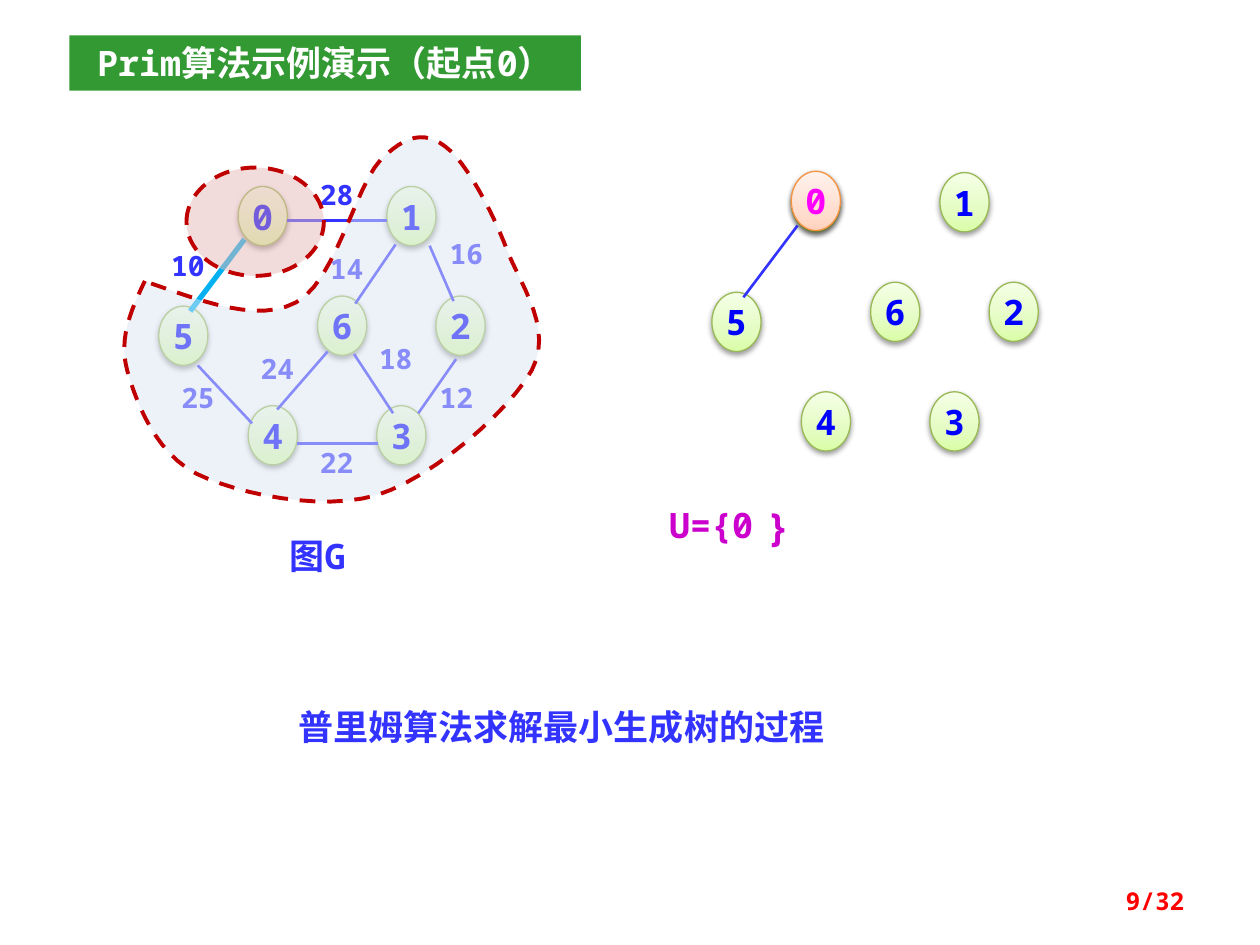
from copy import deepcopy

from lxml.etree import SubElement
from pptx import Presentation
from pptx.dml.color import RGBColor
from pptx.enum.dml import MSO_LINE
from pptx.enum.shapes import MSO_CONNECTOR, MSO_SHAPE
from pptx.enum.text import MSO_ANCHOR, PP_ALIGN
from pptx.oxml.ns import qn
from pptx.util import Inches, Pt

MONO = "Noto Sans Mono"
COLORS = {
    "title_bar": "339933", "white": "FFFFFF", "edge": "3333FF", "chosen": "00B0F0",
    "node_text": "0000FF", "node_line": "98B955", "start_text": "FF00FF",
    "start_line": "F69240", "cut": "C00000", "visited": "E6B9B8",
    "unvisited": "DCE6F2", "set": "CC00CC", "page": "FF0000", "shadow": "000000",
}
NODE_FILL = ("DAFDA7", "E4FCC2", "F5FFE7")
START_FILL = ("FFD2BD", "FFDED0", "FFF2ED")
NODE_SIZE = (0.39, 0.47)
NODES = {
    "0": (0.63, 0), "1": (1.81, 0), "5": (0, 0.95), "4": (0.71, 1.74),
    "3": (1.73, 1.74), "6": (1.26, 0.87), "2": (2.2, 0.87),
}
CHOSEN_EDGE = (0.68, 0.42, 0.25, 0.99)
EDGES = [
    (1.02, 0.27, 1.81, 0.27), (0.31, 1.42, 0.74, 1.88), (1.1, 2.04, 1.74, 2.04),
    (0.94, 1.77, 1.34, 1.31), (1.55, 1.33, 1.86, 1.8), (1.88, 0.46, 1.56, 0.93),
    (2.15, 0.47, 2.34, 0.91), (2.36, 1.37, 2.06, 1.8),
]
WEIGHTS = {
    "28": (1.18, -0.12), "10": (0, 0.44), "16": (2.21, 0.35), "14": (1.26, 0.47),
    "25": (0.08, 1.49), "24": (0.71, 1.26), "18": (1.65, 1.18), "22": (1.18, 2.01),
    "12": (2.13, 1.49),
}
CUT_START = (-0.06, 0.77)
CUT_CURVES = [
    ((0.37, 0.92), (0.79, 1.08), (1.09, 0.92)), ((1.4, 0.76), (1.56, 0), (1.76, -0.21)),
    ((1.96, -0.41), (2.11, -0.44), (2.27, -0.32)), ((2.44, -0.2), (2.66, 0.22), (2.77, 0.52)),
    ((2.89, 0.81), (3.13, 1.14), (2.96, 1.46)), ((2.78, 1.78), (2.18, 2.31), (1.73, 2.45)),
    ((1.29, 2.58), (0.63, 2.44), (0.3, 2.28)), ((-0.03, 2.11), (-0.18, 1.71), (-0.25, 1.46)),
    ((-0.32, 1.21), (-0.22, 0.98), (-0.11, 0.75)),
]


def rgb(name):
    """Return the named colour."""
    return RGBColor.from_string(COLORS[name])


def write(shape, text, color, size=20, font=MONO, align=PP_ALIGN.LEFT, bold=True):
    """Put one formatted line of text into a shape."""
    shape.text_frame.text = text
    paragraph = shape.text_frame.paragraphs[0]
    paragraph.alignment = align
    paragraph.space_before = Pt(0)
    run_font = paragraph.runs[0].font
    run_font.name, run_font.size, run_font.bold = font, Pt(size), bold
    run_font.color.rgb = rgb(color)


def add_label(shapes, box, text, color, inset=0.1, anchor=MSO_ANCHOR.TOP, **style):
    """Add a wrapped text box at the given box."""
    label = shapes.add_textbox(*map(Inches, box))
    frame = label.text_frame
    frame.word_wrap, frame.vertical_anchor = True, anchor
    frame.margin_left = frame.margin_right = Inches(inset)
    frame.margin_top = frame.margin_bottom = Inches(inset / 2)
    write(label, text, color, **style)


def add_node(shapes, left, top, text, fill=NODE_FILL, line="node_line", color="node_text"):
    """Add one shaded graph vertex."""
    node = shapes.add_shape(MSO_SHAPE.OVAL, *map(Inches, (left, top, *NODE_SIZE)))
    node.fill.gradient()
    node.fill.gradient_angle = 90
    stop_list = node.fill.gradient_stops
    properties = node.element.spPr
    gradient = properties.find(".//" + qn("a:gsLst"))
    gradient.insert(1, deepcopy(gradient[0]))
    stop_list = node.fill.gradient_stops
    for stop, position, tint in zip(stop_list, (0, 0.35, 1), fill):
        stop.position = position
        stop.color.rgb = RGBColor.from_string(tint)
    node.line.color.rgb, node.line.width = rgb(line), Pt(0.75)
    node.shadow.inherit = False
    shadow = SubElement(properties.find(qn("a:effectLst")), qn("a:outerShdw"),
                        blurRad=str(Pt(3.1)), dist=str(Pt(1.6)), dir="5400000", rotWithShape="0")
    shade = SubElement(shadow, qn("a:srgbClr"), val=COLORS["shadow"])
    SubElement(shade, qn("a:alpha"), val="38000")
    node.text_frame.word_wrap = False
    node.text_frame.vertical_anchor = MSO_ANCHOR.MIDDLE
    write(node, text, color, align=PP_ALIGN.CENTER)


def add_nodes(shapes, left, top):
    """Add all vertices of the graph from its top left corner."""
    for text, (dx, dy) in NODES.items():
        add_node(shapes, left + dx, top + dy, text)


def add_edge(shapes, left, top, edge, color="edge", width=1.5):
    """Add one edge of the graph."""
    x1, y1, x2, y2 = edge
    ends = (left + x1, top + y1, left + x2, top + y2)
    line = shapes.add_connector(MSO_CONNECTOR.STRAIGHT, *map(Inches, ends))
    line.line.color.rgb, line.line.width = rgb(color), Pt(width)
    SubElement(line.element.spPr, qn("a:effectLst"))


def style_cut(region, fill):
    """Give a vertex set a half transparent fill and a dashed border."""
    region.shadow.inherit = False
    region.fill.solid()
    region.fill.fore_color.rgb = rgb(fill)
    tint = region.element.spPr.find(qn("a:solidFill") + "/" + qn("a:srgbClr"))
    SubElement(tint, qn("a:alpha"), val="50000")
    region.line.color.rgb, region.line.width = rgb("cut"), Pt(2.25)
    region.line.dash_style = MSO_LINE.DASH


def curve_points(start, curves, steps=12):
    """Return points along a chain of cubic curves."""
    points = [start]
    for first, second, end in curves:
        corners = (points[-1], first, second, end)
        for step in range(1, steps + 1):
            t = step / steps
            shares = ((1 - t) ** 3, 3 * t * (1 - t) ** 2, 3 * t * t * (1 - t), t ** 3)
            points.append(tuple(sum(s * c[axis] for s, c in zip(shares, corners))
                                for axis in (0, 1)))
    return points


def add_cut(shapes, left, top):
    """Add the visited and unvisited vertex sets."""
    visited_box = (left + 0.22, top - 0.15, 1.09, 0.86)
    visited = shapes.add_shape(MSO_SHAPE.OVAL, *map(Inches, visited_box))
    style_cut(visited, "visited")
    outline = [(Inches(left + x), Inches(top + y)) for x, y in curve_points(CUT_START, CUT_CURVES)]
    builder = shapes.build_freeform(*outline[0])
    builder.add_line_segments(outline[1:], close=False)
    style_cut(builder.convert_to_shape(), "unvisited")


def add_weighted_graph(shapes, left, top):
    """Add graph G with its weights, caption and cut."""
    add_nodes(shapes, left, top)
    add_edge(shapes, left, top, CHOSEN_EDGE, "chosen", 3)
    for edge in EDGES:
        add_edge(shapes, left, top, edge)
    for text, (dx, dy) in WEIGHTS.items():
        add_label(shapes, (left + dx, top + dy, 0.55, 0.37), text, "edge", size=16)
    add_label(shapes, (left + 0.94, top + 2.71, 1.02, 0.44), "图G", "edge")
    add_cut(shapes, left, top)


def add_tree(shapes, left, top):
    """Add the growing tree and its set U."""
    tree = shapes.add_group_shape().shapes
    add_nodes(tree, left, top)
    add_edge(shapes, left, top, CHOSEN_EDGE)
    visited_set = shapes.add_group_shape().shapes
    add_label(visited_set, (left - 0.34, top + 2.63, 1.09, 0.34), "U={0", "set", inset=0)
    add_label(visited_set, (left + 0.29, top + 2.62, 0.47, 0.37), "}", "set", inset=0,
              size=22, align=PP_ALIGN.CENTER)
    add_node(shapes, left + 0.63, top - 0.01, "0", START_FILL, "start_line", "start_text")


def add_title(title, box):
    """Format the title placeholder as a filled bar."""
    title.left, title.top, title.width, title.height = map(Inches, box)
    title.fill.solid()
    title.fill.fore_color.rgb = rgb("title_bar")
    title.text_frame.vertical_anchor = MSO_ANCHOR.MIDDLE
    write(title, "Prim算法示例演示（起点0）", "white", align=PP_ALIGN.CENTER)


def main():
    """Build and save the slide."""
    presentation = Presentation()
    presentation.slide_width, presentation.slide_height = Inches(10), Inches(7.5)
    slide = presentation.slides.add_slide(presentation.slide_layouts[5])
    shapes = slide.shapes
    add_title(shapes.title, (0.55, 0.28, 4.06, 0.44))
    add_label(shapes, (2.27, 5.55, 5.39, 0.44), "普里姆算法求解最小生成树的过程", "edge",
              font="Times New Roman")
    add_weighted_graph(shapes, 1.26, 1.48)
    add_tree(shapes, 5.65, 1.37)
    add_label(shapes, (7.17, 6.95, 2.33, 0.4), "9/32", "page", size=14,
              align=PP_ALIGN.RIGHT, anchor=MSO_ANCHOR.MIDDLE)
    presentation.save("out.pptx")


if __name__ == "__main__":
    main()
